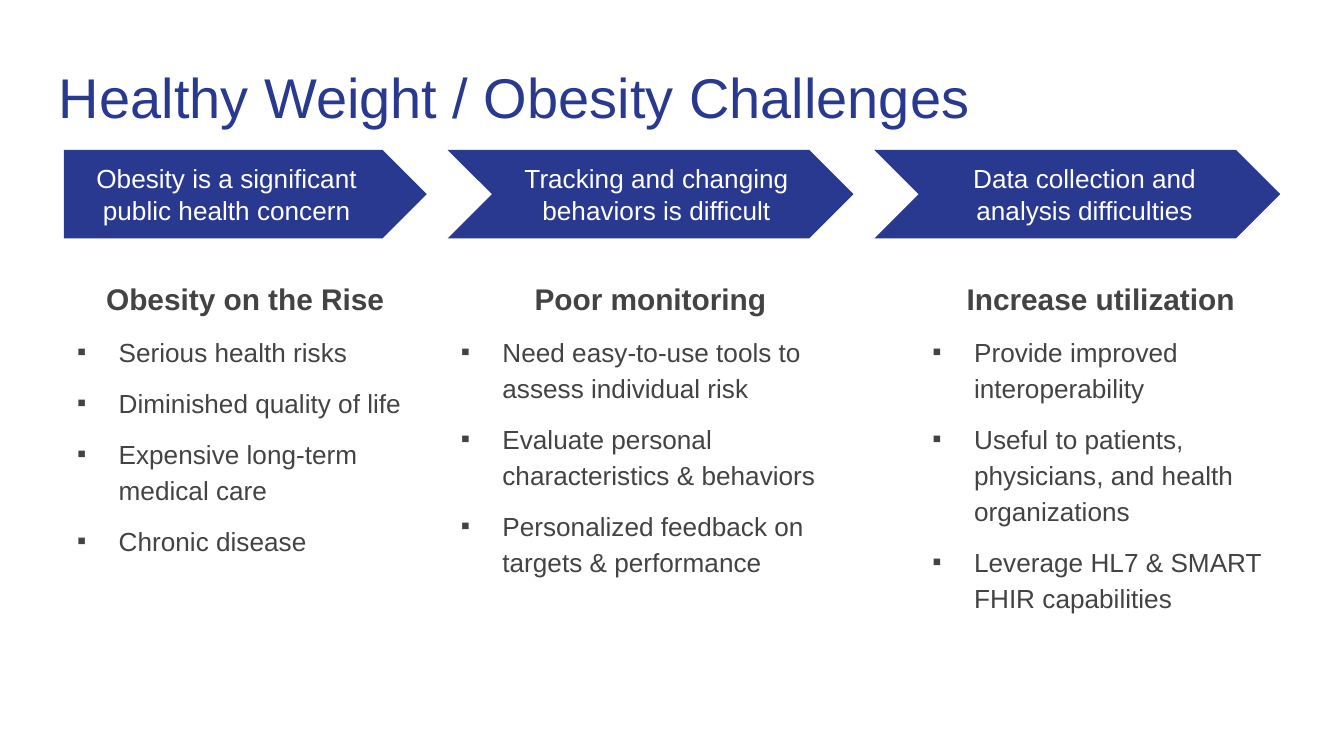
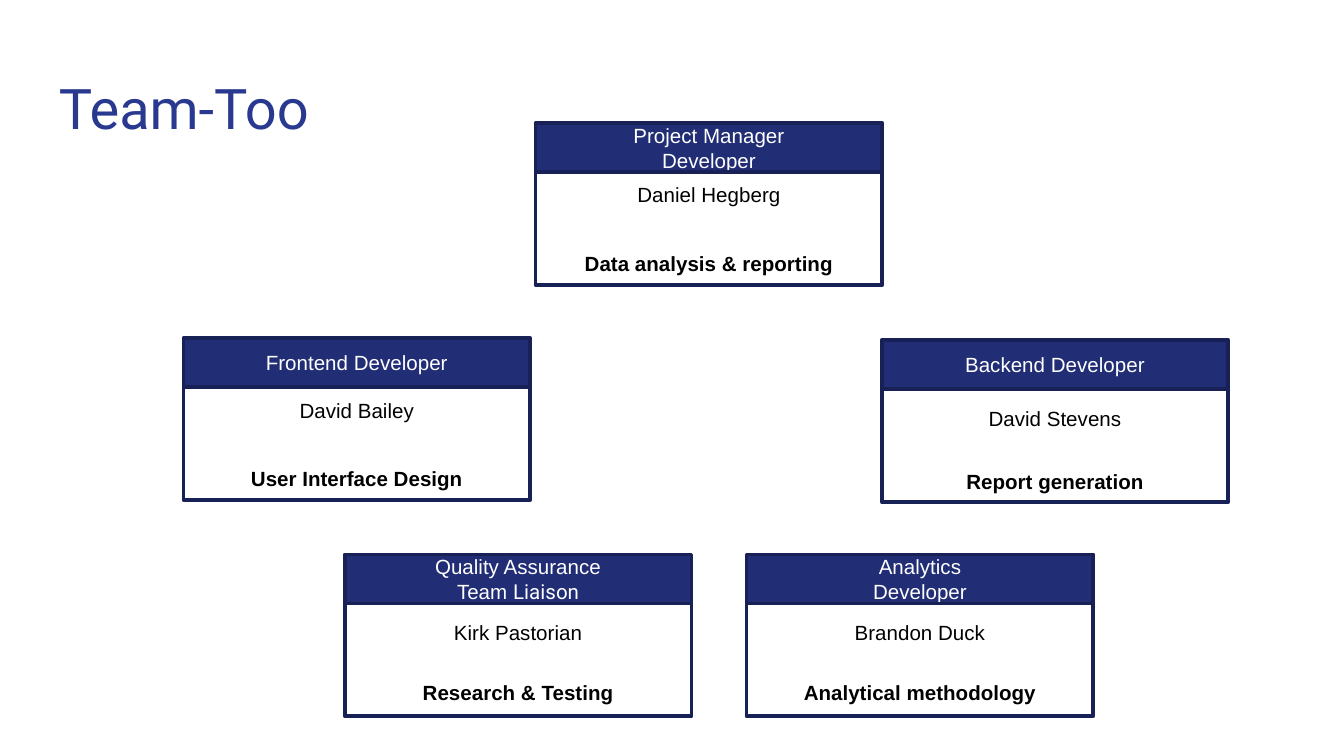
from dataclasses import dataclass

from lxml import etree
from pptx import Presentation
from pptx.dml.color import RGBColor
from pptx.enum.shapes import MSO_SHAPE
from pptx.enum.text import MSO_ANCHOR, MSO_AUTO_SIZE, PP_ALIGN
from pptx.oxml.ns import qn
from pptx.util import Pt

# Shared scale, colours and fonts
PX = 4572  # 200 px to the inch
SLIDE_WIDTH, SLIDE_HEIGHT = 2000, 1125
BLUE = RGBColor(0x2A, 0x39, 0x90)
HEADER_BLUE = RGBColor(0x21, 0x2D, 0x74)
BORDER_BLUE = RGBColor(0x18, 0x21, 0x56)
GREY = RGBColor(0x43, 0x43, 0x43)
WHITE = RGBColor(0xFF, 0xFF, 0xFF)
BLACK = RGBColor(0x00, 0x00, 0x00)
ARIAL = "Arial"
ROBOTO = "Roboto"

RECTANGLE = MSO_SHAPE.RECTANGLE
PENTAGON = MSO_SHAPE.PENTAGON
CHEVRON = MSO_SHAPE.CHEVRON
TOP = MSO_ANCHOR.TOP
MIDDLE = MSO_ANCHOR.MIDDLE
LEFT = PP_ALIGN.LEFT
CENTER = PP_ALIGN.CENTER
FIT_TEXT = MSO_AUTO_SIZE.SHAPE_TO_FIT_TEXT

# Layout in px
ARROW_TOP, ARROW_HEIGHT = 223, 132
COLUMN_TOP, COLUMN_HEIGHT = 390, 580
BULLET_INDENT = 62
CARD_WIDTH, HEADER_HEIGHT, BODY_HEIGHT, LABEL_HEIGHT = 516, 73, 168, 58


@dataclass(frozen=True)
class Box:
    left: int
    top: int
    width: int
    height: int

    def emu(self) -> tuple[int, ...]:
        return tuple(v * PX for v in (self.left, self.top, self.width, self.height))


@dataclass(frozen=True)
class Insets:
    left: int = 20
    top: int = 20
    right: int = 20
    bottom: int = 20


@dataclass(frozen=True)
class Challenge:
    arrow_kind: int
    arrow_left: int
    arrow_width: int
    arrow_insets: Insets
    arrow_text: str
    column_left: int
    column_width: int
    heading: str
    bullets: tuple[str, ...]


@dataclass(frozen=True)
class Member:
    left: int
    top: int
    titles: tuple[str, ...]
    name: str
    task: str
    name_offset: int
    task_offset: int
    roboto_ending: str = ""


CHALLENGES = (
    Challenge(PENTAGON, 95, 540, Insets(right=42),
              "Obesity is a significant public health concern",
              95, 540, "Obesity on the Rise",
              ("Serious health risks", "Diminished quality of life",
               "Expensive long-term medical care", "Chronic disease")),
    Challenge(CHEVRON, 666, 604, Insets(left=29, right=11),
              "Tracking and changing behaviors is difficult",
              666, 604, "Poor monitoring",
              ("Need easy-to-use tools to assess individual risk",
               "Evaluate personal characteristics & behaviors",
               "Personalized feedback on targets & performance")),
    Challenge(CHEVRON, 1301, 604, Insets(left=31, right=9),
              "Data collection and analysis difficulties",
              1368, 540, "Increase utilization",
              ("Provide improved interoperability",
               "Useful to patients, physicians, and health organizations",
               "Leverage HL7 & SMART FHIR capabilities")),
)

TEAM = (
    Member(797, 183, ("Project Manager", "Developer"),
           "Daniel Hegberg", "Data analysis & reporting", 78, 181),
    Member(273, 503, ("Frontend Developer",),
           "David Bailey", "User Interface Design", 79, 181),
    Member(1312, 506, ("Backend Developer",),
           "David Stevens", "Report generation", 88, 182),
    Member(1111, 825, ("Analytics", "Developer"),
           "Brandon Duck", "Analytical methodology", 88, 177),
    Member(513, 825, ("Quality Assurance", "Team "),
           "Kirk Pastorian", "Research & Testing", 88, 177, "Liaison"),
)


# Text helpers
def prepare_frame(shape, insets: Insets, anchor=TOP):
    frame = shape.text_frame
    frame.word_wrap = True
    frame.vertical_anchor = anchor
    frame.margin_left = insets.left * PX
    frame.margin_top = insets.top * PX
    frame.margin_right = insets.right * PX
    frame.margin_bottom = insets.bottom * PX
    return frame


def write_lines(frame, lines: tuple[str, ...], size: int, color: RGBColor,
                alignment=CENTER, bold: bool = False, font: str = ARIAL) -> list:
    """Fill the empty first paragraph, then append further ones."""
    paragraphs = []
    for line in lines:
        paragraph = frame.paragraphs[0]
        if paragraph.runs:
            paragraph = frame.add_paragraph()
        paragraph.add_run().text = line
        paragraph.alignment = alignment
        paragraph.font.name = font
        paragraph.font.size = Pt(size)
        paragraph.font.bold = bold
        paragraph.font.color.rgb = color
        paragraphs.append(paragraph)
    return paragraphs


def add_bullet(paragraph) -> None:
    properties = paragraph._p.get_or_add_pPr()
    properties.set("marL", str(BULLET_INDENT * PX))
    properties.set("indent", str(-BULLET_INDENT * PX))
    color = etree.Element(qn("a:buClr"))
    etree.SubElement(color, qn("a:srgbClr"), val=str(GREY))
    font = etree.Element(qn("a:buFont"), typeface=ARIAL)
    character = etree.Element(qn("a:buChar"), char="▪")
    defaults = properties.find(qn("a:defRPr"))
    for element in (color, font, character):
        defaults.addprevious(element)


# Shape helpers
def add_filled_shape(slide, kind: int, box: Box, fill: RGBColor, border: RGBColor | None = None):
    shape = slide.shapes.add_shape(kind, *box.emu())
    shape.shadow.inherit = False
    shape.fill.solid()
    shape.fill.fore_color.rgb = fill
    if border is None:
        shape.line.fill.background()
    else:
        shape.line.color.rgb = border
        shape.line.width = Pt(2)
    return shape


def add_title(slide, text: str, top: int, font: str) -> None:
    shape = slide.shapes.add_textbox(*Box(68, top, 1864, 132).emu())
    write_lines(prepare_frame(shape, Insets()), (text,), 30, BLUE, LEFT, font=font)


def add_challenge(slide, challenge: Challenge) -> None:
    # Arrow with its statement
    arrow_box = Box(challenge.arrow_left, ARROW_TOP, challenge.arrow_width, ARROW_HEIGHT)
    arrow = add_filled_shape(slide, challenge.arrow_kind, arrow_box, BLUE)
    frame = prepare_frame(arrow, challenge.arrow_insets, MIDDLE)
    write_lines(frame, (challenge.arrow_text,), 14, WHITE)

    # Heading and bullets below
    column_box = Box(challenge.column_left, COLUMN_TOP, challenge.column_width, COLUMN_HEIGHT)
    column = slide.shapes.add_textbox(*column_box.emu())
    frame = prepare_frame(column, Insets())
    headings = write_lines(frame, (challenge.heading,), 16, GREY, bold=True)
    bullets = write_lines(frame, challenge.bullets, 14, GREY, LEFT)
    for paragraph in headings + bullets:
        paragraph.line_spacing = 1.15
        paragraph.space_after = Pt(8)
    for paragraph in bullets:
        add_bullet(paragraph)


def add_label(slide, left: int, top: int, text: str, bold: bool) -> None:
    label = slide.shapes.add_textbox(*Box(left, top, CARD_WIDTH, LABEL_HEIGHT).emu())
    frame = prepare_frame(label, Insets(top=10, bottom=10))
    frame.auto_size = FIT_TEXT
    write_lines(frame, (text,), 11, BLACK, bold=bold)


def add_member(slide, member: Member) -> None:
    header_box = Box(member.left, member.top, CARD_WIDTH, HEADER_HEIGHT)
    header = add_filled_shape(slide, RECTANGLE, header_box, HEADER_BLUE, BORDER_BLUE)
    frame = prepare_frame(header, Insets(), MIDDLE)
    titles = write_lines(frame, member.titles, 11, WHITE)
    if member.roboto_ending:
        ending = titles[-1].add_run()
        ending.text = member.roboto_ending
        ending.font.name = ROBOTO

    body_box = Box(member.left, member.top + HEADER_HEIGHT, CARD_WIDTH, BODY_HEIGHT)
    add_filled_shape(slide, RECTANGLE, body_box, WHITE, BORDER_BLUE)
    add_label(slide, member.left, member.top + member.task_offset, member.task, True)
    add_label(slide, member.left, member.top + member.name_offset, member.name, False)


def main() -> None:
    presentation = Presentation()
    presentation.slide_width = SLIDE_WIDTH * PX
    presentation.slide_height = SLIDE_HEIGHT * PX
    blank = presentation.slide_layouts[6]

    # Slide 1: challenges
    slide = presentation.slides.add_slide(blank)
    add_title(slide, "Healthy Weight / Obesity Challenges", 73, ARIAL)
    for challenge in CHALLENGES:
        add_challenge(slide, challenge)

    # Slide 2: team
    slide = presentation.slides.add_slide(blank)
    add_title(slide, "Team-Too", 90, ROBOTO)
    for member in TEAM:
        add_member(slide, member)

    presentation.save("out.pptx")


if __name__ == "__main__":
    main()
